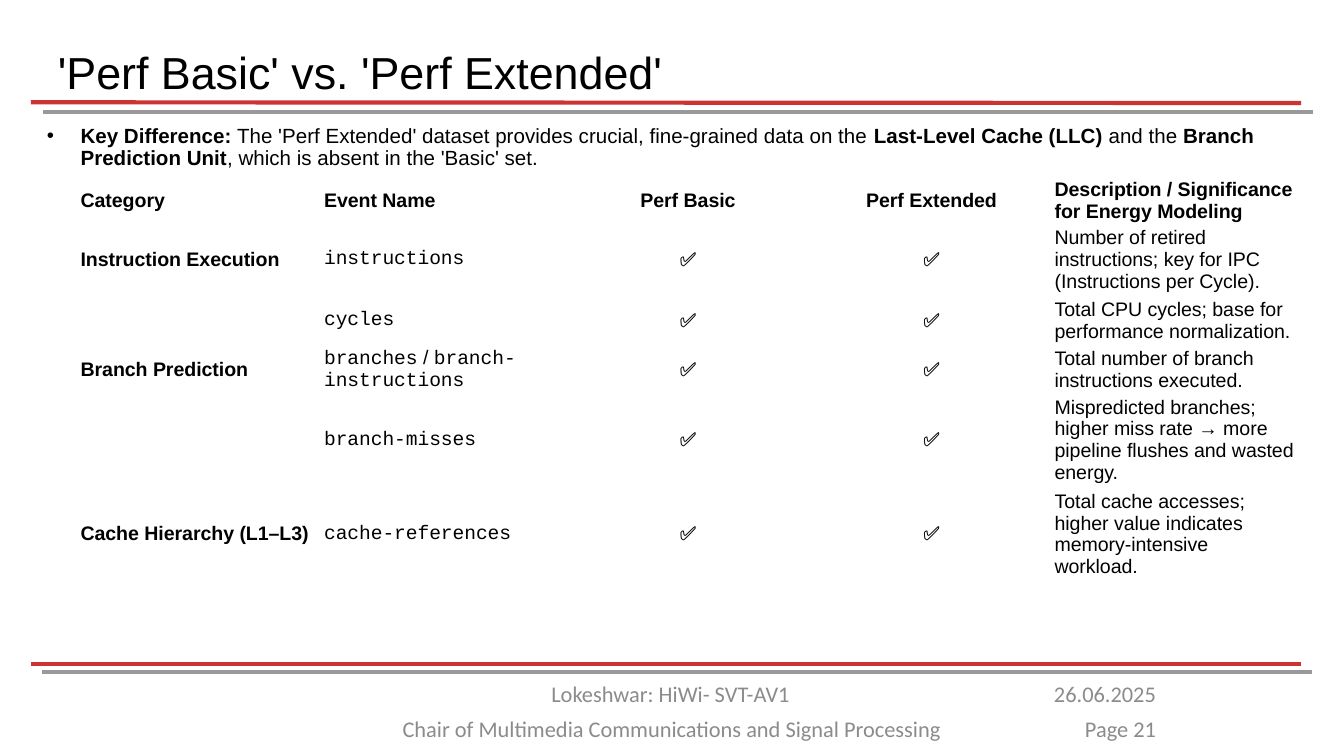
"""Build the slide comparing the 'Perf Basic' and 'Perf Extended' event sets."""
from lxml.etree import SubElement
from pptx import Presentation
from pptx.dml.color import RGBColor
from pptx.enum.shapes import MSO_CONNECTOR as Connector
from pptx.enum.text import MSO_ANCHOR as Anchor, MSO_AUTO_SIZE as AutoSize, PP_ALIGN as Align
from pptx.oxml.ns import qn
from pptx.util import Pt

BLACK = RGBColor(0x00, 0x00, 0x00)
RED = RGBColor(0xCC, 0x33, 0x33)
GRAY = RGBColor(0x99, 0x99, 0x99)
FOOTER_GRAY = RGBColor(0x8B, 0x8B, 0x8B)
BODY, CODE, FOOTER = "Arial", "Courier New", "Calibri"

TITLE = "'Perf Basic' vs. 'Perf Extended'"
KEY_DIFFERENCE = [
    ("Key Difference:", True),
    (" The 'Perf Extended' dataset provides crucial, fine-grained data on the ", False),
    ("Last-Level Cache (LLC)", True),
    (" and the ", False),
    ("Branch Prediction Unit", True),
    (", which is absent in the 'Basic' set.", False),
]
HEADERS = ["Category", "Event Name", "Perf Basic", "Perf Extended",
           "Description / Significance for Energy Modeling"]
EVENTS = [
    ("Instruction Execution", ["instructions"],
     "Number of retired instructions; key for IPC (Instructions per Cycle)."),
    ("", ["cycles"], "Total CPU cycles; base for performance normalization."),
    ("Branch Prediction", ["branches", "branch-instructions"],
     "Total number of branch instructions executed."),
    ("", ["branch-misses"],
     "Mispredicted branches; higher miss rate → more pipeline flushes and wasted energy."),
    ("Cache Hierarchy (L1–L3)", ["cache-references"],
     "Total cache accesses; higher value indicates memory-intensive workload."),
]
CHECK = "✅"
ROW_HEIGHTS = [22.3, 32.4, 27.4, 22.3, 43.2, 37.4]
COLUMN_WIDTH = 130.46
RULES = [(16.6, 54.8, 55.2, RED), (23, 59.8, 59.8, GRAY),
         (16.6, 355.7, 355.7, RED), (22.3, 360.2, 360.2, GRAY)]
RULE_LENGTH = 680.4
FOOTERS = [
    ("Chair of Multimedia Communications and Signal Processing", 187.2, 379.4, 345.6, Align.CENTER),
    ("Lokeshwar: HiWi- SVT-AV1", 186.5, 360.7, 345.6, Align.CENTER),
    ("26.06.2025", 553, 360.7, 73.4, Align.RIGHT),
    ("Page 21", 541.4, 379.4, 85, Align.RIGHT),
]


def style(paragraph, size, name=BODY, color=BLACK, align=Align.LEFT):
    paragraph.alignment = align
    font = paragraph.font
    font.size, font.name, font.color.rgb = Pt(size), name, color


def clear_margins(frame):
    frame.word_wrap = True
    frame.vertical_anchor = Anchor.MIDDLE
    frame.margin_left = frame.margin_right = frame.margin_top = frame.margin_bottom = 0


def add_rule(page, left, start, end, color):
    rule = page.shapes.add_connector(Connector.STRAIGHT, Pt(left), Pt(start),
                                     Pt(left + RULE_LENGTH), Pt(end))
    rule.line.color.rgb, rule.line.width = color, Pt(2.25)
    SubElement(rule._element.spPr, qn("a:effectLst"))


def add_footer(page, text, left, top, width, align):
    box = page.shapes.add_textbox(Pt(left), Pt(top), Pt(width), Pt(21.6))
    frame = box.text_frame
    frame.word_wrap, frame.auto_size = True, AutoSize.SHAPE_TO_FIT_TEXT
    frame.text = text
    style(frame.paragraphs[0], 12, FOOTER, FOOTER_GRAY, align)


def add_title(page):
    title = page.shapes.title
    title.left, title.top, title.width, title.height = Pt(31), Pt(6.5), Pt(648), Pt(67.7)
    frame = title.text_frame
    frame.text, frame.auto_size = TITLE, AutoSize.NONE
    clear_margins(frame)
    paragraph = frame.paragraphs[0]
    paragraph.line_spacing = 0.9
    style(paragraph, 24)


def add_key_difference(page):
    box = page.shapes.add_textbox(Pt(25.2), Pt(49.7), Pt(648), Pt(59))
    clear_margins(box.text_frame)
    paragraph = box.text_frame.paragraphs[0]
    paragraph.line_spacing = 0.9
    properties = paragraph._p.get_or_add_pPr()
    properties.set("marL", str(Pt(18)))
    properties.set("indent", str(-Pt(18)))
    SubElement(properties, qn("a:buFont"), typeface=BODY)
    SubElement(properties, qn("a:buChar"), char="•")
    style(paragraph, 11)
    for text, bold in KEY_DIFFERENCE:
        span = paragraph.add_run()
        span.text, span.font.bold = text, bold


def fill_cell(cell, spans, bold, align):
    cell.fill.background()
    cell.vertical_anchor = Anchor.MIDDLE
    cell.margin_left = cell.margin_right = Pt(0.7)
    cell.margin_top = cell.margin_bottom = 0
    paragraph = cell.text_frame.paragraphs[0]
    style(paragraph, 10.5, align=align)
    paragraph.font.bold = bold
    for text, name in spans:
        span = paragraph.add_run()
        span.text, span.font.name, span.font.bold = text, name, bold


def event_spans(names):
    spans = [(names[0], CODE)]
    for name in names[1:]:
        spans += [(" / ", BODY), (name, CODE)]
    return spans


def add_event_table(page):
    rows = [[[(text, BODY)] for text in HEADERS]]
    for category, names, description in EVENTS:
        rows.append([[(category, BODY)] if category else [], event_spans(names),
                     [(CHECK, BODY)], [(CHECK, BODY)], [(description, BODY)]])
    table = page.shapes.add_table(len(rows), len(HEADERS), Pt(42.5), Pt(95),
                                  Pt(COLUMN_WIDTH * len(HEADERS)), Pt(sum(ROW_HEIGHTS))).table
    table.first_row = table.horz_banding = False
    for column in table.columns:
        column.width = Pt(COLUMN_WIDTH)
    for row_index, (row, height) in enumerate(zip(rows, ROW_HEIGHTS)):
        table.rows[row_index].height = Pt(height)
        for column_index, spans in enumerate(row):
            align = Align.CENTER if column_index in (2, 3) else Align.LEFT
            bold = row_index == 0 or column_index == 0
            fill_cell(table.cell(row_index, column_index), spans, bold, align)


def main():
    deck = Presentation()
    deck.slide_width, deck.slide_height = Pt(720), Pt(405)
    page = deck.slides.add_slide(deck.slide_layouts[5])
    for rule in RULES:
        add_rule(page, *rule)
    for footer in FOOTERS:
        add_footer(page, *footer)
    add_title(page)
    add_key_difference(page)
    add_event_table(page)
    deck.save("out.pptx")


if __name__ == "__main__":
    main()
